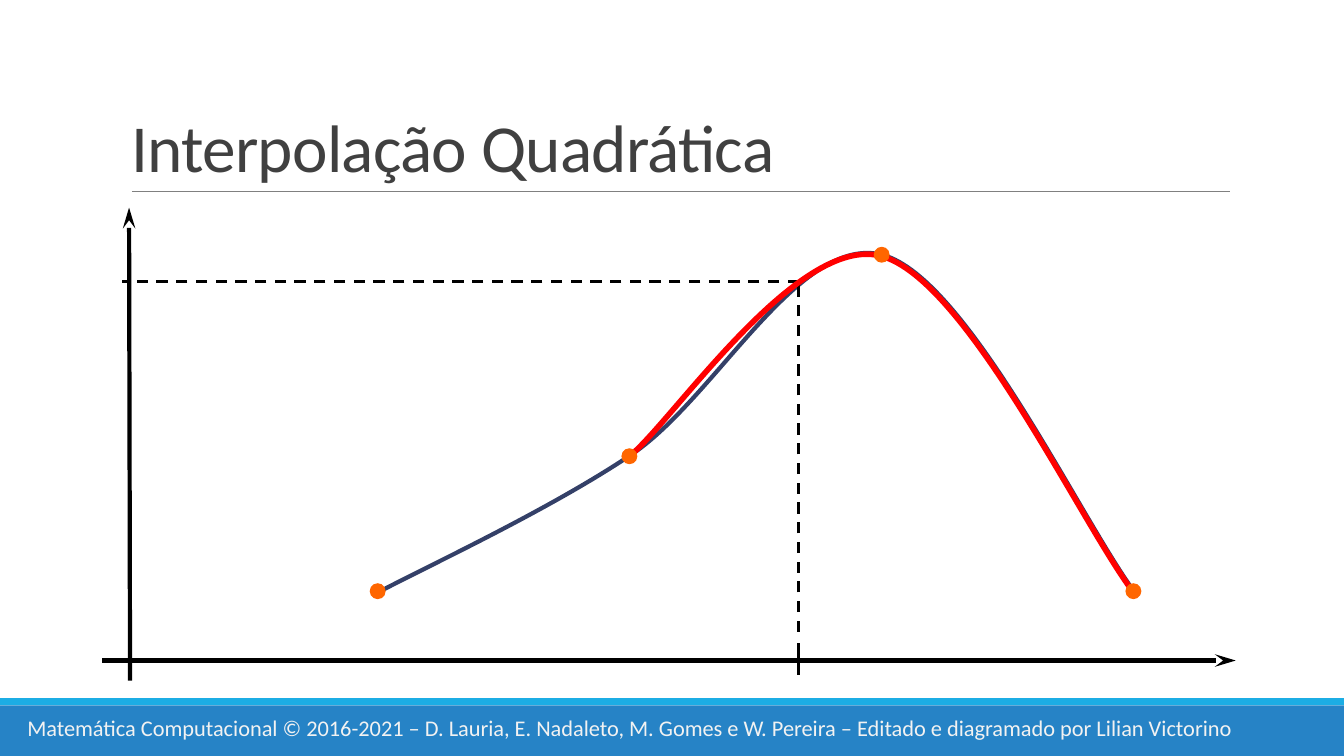
"""Build a slide on quadratic interpolation with a curve and its fitted parabola."""
import pptx
import pptx.util
import pptx.dml.color
import pptx.enum.dml
import pptx.enum.shapes
import pptx.enum.text
import pptx.oxml
import pptx.oxml.ns

Pt = pptx.util.Pt
SHAPE = pptx.enum.shapes.MSO_SHAPE
SPACE = pptx.oxml.ns.nsdecls("a")
FONT = "Calibri"
COLORS = {
    "blue": "2683C6", "cyan": "1CADE4", "rule": "808080", "pale": "F2F2F2",
    "navy": "344068", "black": "000000", "red": "FF0000", "dot": "FF6600",
    "title": "404040",
}
TITLE = "Interpolação Quadrática"
CREDIT = ("Matemática Computacional © 2016-2021 – D. Lauria, E. Nadaleto, M. Gomes "
          "e W. Pereira – Editado e diagramado por Lilian Victorino")
BANDS = [(503.8, 36.2, "blue"), (498.7, 5.1, "cyan")]
RULE = (94.3, 136.8, 878.6, 136.8)
MARKS = [
    ((570.4, 459.4, 570.4, 482.2), 2, False, False),
    ((570.6, 451.4, 570.6, 200.9), 2, True, False),
    ((570.6, 200.9, 86.8, 200.9), 2, True, False),
    ((73, 471.8, 882.7, 471.8), 3, False, True),
    ((92.9, 486.2, 92.2, 148.3), 3, False, True),
]
CURVE = [(270, 423.2), (300, 407), (389.5, 365.8), (450, 325.4), (510.5, 285.8),
         (571, 166), (630.7, 182.2), (691.2, 198.7), (773.3, 373.7), (810.7, 423.2)]
FIT = [(449.3, 326.2), (479.5, 302.4), (569.5, 167), (629.3, 182.9),
       (689.8, 198.7), (771.8, 373), (809.3, 422.6)]
DOTS = [(269.8, 422.3), (449.6, 325.9), (629.8, 182), (809.6, 422.3)]
DOT = 11.4


def tint(name):
    return pptx.dml.color.RGBColor.from_string(COLORS[name])


def style(run, size, color):
    run.font.name, run.font.size = FONT, Pt(size)
    run.font.color.rgb = tint(color)


def solid(slide, kind, box, color):
    shape = slide.shapes.add_shape(kind, *map(Pt, box))
    shape.shadow.inherit = False
    shape.fill.solid()
    shape.fill.fore_color.rgb = tint(color)
    shape.line.fill.background()


def stroke(slide, ends, color, width, dash=False, arrow=False):
    link = slide.shapes.add_connector(
        pptx.enum.shapes.MSO_CONNECTOR.STRAIGHT, *map(Pt, ends))
    link.line.color.rgb, link.line.width = tint(color), Pt(width)
    if dash:
        link.line.dash_style = pptx.enum.dml.MSO_LINE.DASH
    if arrow:
        link.line._get_or_add_ln().append(pptx.oxml.parse_xml(
            f'<a:tailEnd {SPACE} type="stealth" w="med" len="lg"/>'))
    link._element.spPr.append(pptx.oxml.parse_xml(f"<a:effectLst {SPACE}/>"))


def plot(slide, knots, color, width):
    """Draw a chain of cubic Bézier arcs, three knots to each arc."""
    points = [(Pt(x), Pt(y)) for x, y in knots]
    pen = slide.shapes.build_freeform(*points[0])
    pen.add_line_segments(points[1:], close=False)
    shape = pen.convert_to_shape()
    legs = shape._element.xpath(".//a:lnTo")
    for start in range(0, len(legs), 3):
        arc = pptx.oxml.parse_xml(f"<a:cubicBezTo {SPACE}/>")
        legs[start].addprevious(arc)
        for leg in legs[start:start + 3]:
            arc.append(leg[0])
            leg.getparent().remove(leg)
    shape.shadow.inherit = False
    shape.fill.background()
    shape.line.color.rgb, shape.line.width = tint(color), Pt(width)


def place(shape, box):
    shape.left, shape.top, shape.width, shape.height = map(Pt, box)


def main():
    deck = pptx.Presentation()
    deck.slide_width, deck.slide_height = Pt(960), Pt(540)
    slide = deck.slides.add_slide(deck.slide_layouts[5])

    title = slide.shapes.title
    place(title, (86.4, 22.3, 792, 114.5))
    frame = title.text_frame
    frame.text = TITLE
    frame.auto_size = pptx.enum.text.MSO_AUTO_SIZE.NONE
    frame.vertical_anchor = pptx.enum.text.MSO_ANCHOR.BOTTOM
    line = frame.paragraphs[0]
    line.alignment = pptx.enum.text.PP_ALIGN.LEFT
    line.line_spacing = 0.85
    style(line.runs[0], 48, "title")
    line.runs[0]._r.get_or_add_rPr().set("spc", "-50")

    for top, height, color in BANDS:
        solid(slide, SHAPE.RECTANGLE, (0, top, 960, height), color)
    stroke(slide, RULE, "rule", 0.5)

    credit = slide.shapes.add_textbox(*map(Pt, (12.4, 506.5, 922.3, 26.6)))
    credit.text_frame.word_wrap = True
    credit.text_frame.text = CREDIT
    style(credit.text_frame.paragraphs[0].runs[0], 16, "pale")

    plot(slide, CURVE, "navy", 3)
    for ends, width, dash, arrow in MARKS:
        stroke(slide, ends, "black", width, dash, arrow)
    plot(slide, FIT, "red", 4)
    for x, y in DOTS:
        solid(slide, SHAPE.OVAL, (x - DOT / 2, y - DOT / 2, DOT, DOT), "dot")

    deck.save("out.pptx")


if __name__ == "__main__":
    main()
